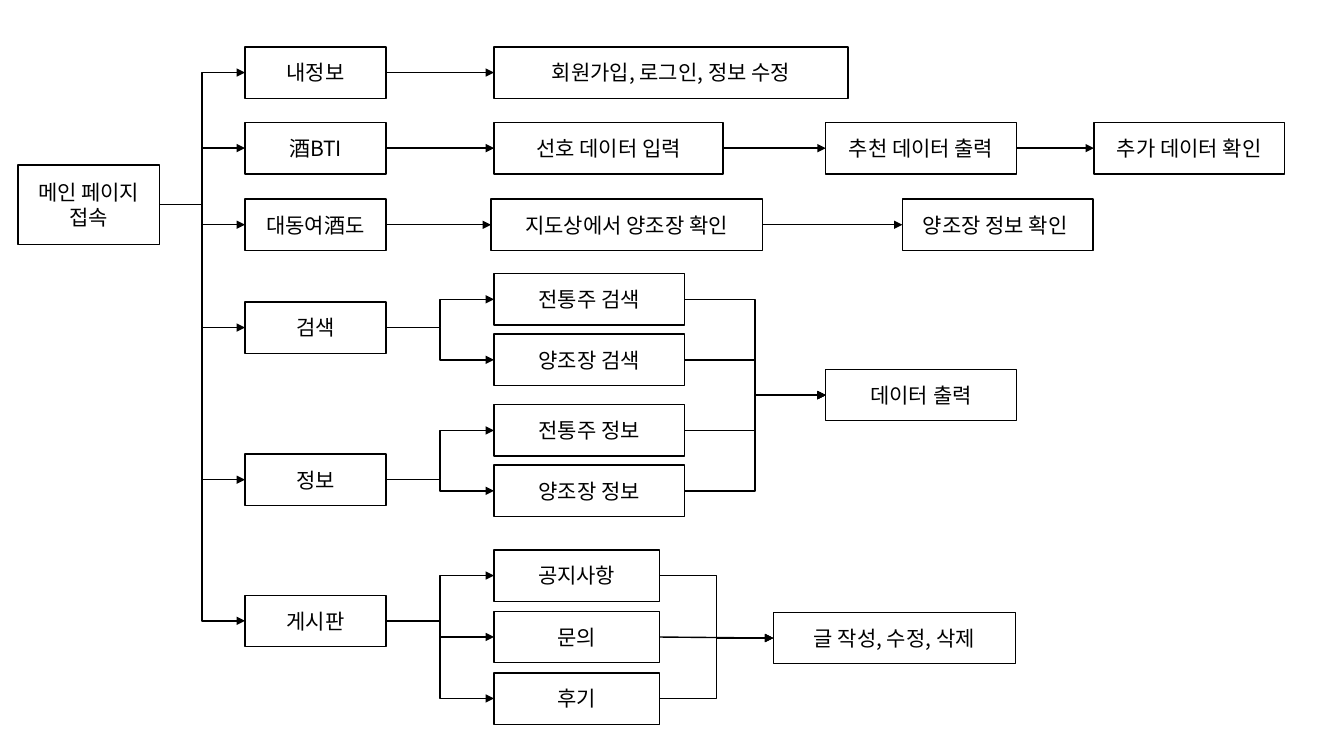
from pptx import Presentation
from pptx.dml.color import RGBColor
from pptx.enum.shapes import MSO_CONNECTOR, MSO_SHAPE
from pptx.enum.text import MSO_ANCHOR, PP_ALIGN
from pptx.oxml.ns import qn
from pptx.util import Inches, Pt
from lxml import etree

RECT = MSO_SHAPE.RECTANGLE
STRAIGHT, ELBOW = MSO_CONNECTOR.STRAIGHT, MSO_CONNECTOR.ELBOW
MIDDLE, CENTER = MSO_ANCHOR.MIDDLE, PP_ALIGN.CENTER
FONT = "Noto Sans CJK KR"
COLORS = {"ink": "000000", "paper": "FFFFFF"}
INK = RGBColor.from_string(COLORS["ink"])
PAPER = RGBColor.from_string(COLORS["paper"])
RIGHT, LEFT = 3, 1  # connection sites of a rectangle

# Columns, box widths and row height
MENU, STEP, OUT = 2.43, 4.9, 8.19
SLIM, POST, WIDE = 1.4, 1.64, 1.89
HIGH = 0.51

prs = Presentation()
prs.slide_width, prs.slide_height = Inches(13.33), Inches(7.5)
slide = prs.slides.add_slide(prs.slide_layouts[6])
boxes = {}


def add_box(text, left, mid, width, height=HIGH):
    box = slide.shapes.add_shape(RECT, Inches(left), Inches(mid - height / 2),
                                 Inches(width), Inches(height))
    box.shadow.inherit = False
    box.fill.solid()
    box.fill.fore_color.rgb = PAPER
    box.line.color.rgb = INK
    box.line.width = Pt(1)
    frame = box.text_frame
    frame.word_wrap = True
    frame.vertical_anchor = MIDDLE
    frame.text = text
    para = frame.paragraphs[0]
    para.alignment = CENTER
    para.font.size = Pt(15)
    para.font.name = FONT
    para.font.color.rgb = INK
    # East Asian typeface for the Korean text
    props = para.font._element
    etree.SubElement(props, qn("a:ea"), typeface=FONT)
    boxes[text] = box


def add_link(start, end):
    a, b = boxes[start], boxes[end]
    drop = abs(a.top + a.height / 2 - b.top - b.height / 2)
    kind = STRAIGHT if drop < Inches(0.05) else ELBOW
    link = slide.shapes.add_connector(kind, 0, 0, 0, 0)
    link.begin_connect(a, RIGHT)
    link.end_connect(b, LEFT)
    link.line.color.rgb = INK
    link.line.width = Pt(1)
    etree.SubElement(link.line._get_or_add_ln(), qn("a:tailEnd"), type="triangle")
    etree.SubElement(link._element.spPr, qn("a:effectLst"))


# Start page and main menu
start = "메인 페이지 접속"
add_box(start, 0.18, 2.03, SLIM, 0.79)
menu = {"내정보": 0.72, "酒BTI": 1.47, "대동여酒도": 2.23,
        "검색": 3.25, "정보": 4.76, "게시판": 6.16}
for text, mid in menu.items():
    add_box(text, MENU, mid, SLIM)
    add_link(start, text)

# Straight chains: each step follows the one before
chains = {
    "내정보": [("회원가입, 로그인, 정보 수정", STEP, 3.51)],
    "酒BTI": [("선호 데이터 입력", STEP, 2.27),
              ("추천 데이터 출력", OUT, WIDE),
              ("추가 데이터 확인", 10.85, WIDE)],
    "대동여酒도": [("지도상에서 양조장 확인", 4.87, 2.69),
                 ("양조장 정보 확인 ", 8.95, WIDE)],
}
for head, steps in chains.items():
    last = head
    for text, left, width in steps:
        add_box(text, left, menu[head], width)
        add_link(last, text)
        last = text

# Results shared by several branches
data, edit = "데이터 출력", "글 작성, 수정, 삭제"
add_box(data, OUT, 3.92, WIDE)
add_box(edit, 7.67, 6.33, 2.4)

# Branches: menu item, first row, row pitch, width, result, options
forks = [
    ("검색", 2.97, 0.6, WIDE, data, ["전통주 검색", "양조장 검색"]),
    ("정보", 4.27, 0.6, WIDE, data, ["전통주 정보", "양조장 정보"]),
    ("게시판", 5.71, 0.61, POST, edit, ["공지사항", "문의", "후기"]),
]
for head, top, pitch, width, result, options in forks:
    for row, text in enumerate(options):
        add_box(text, STEP, top + row * pitch, width)
        add_link(head, text)
        add_link(text, result)

prs.save("out.pptx")
